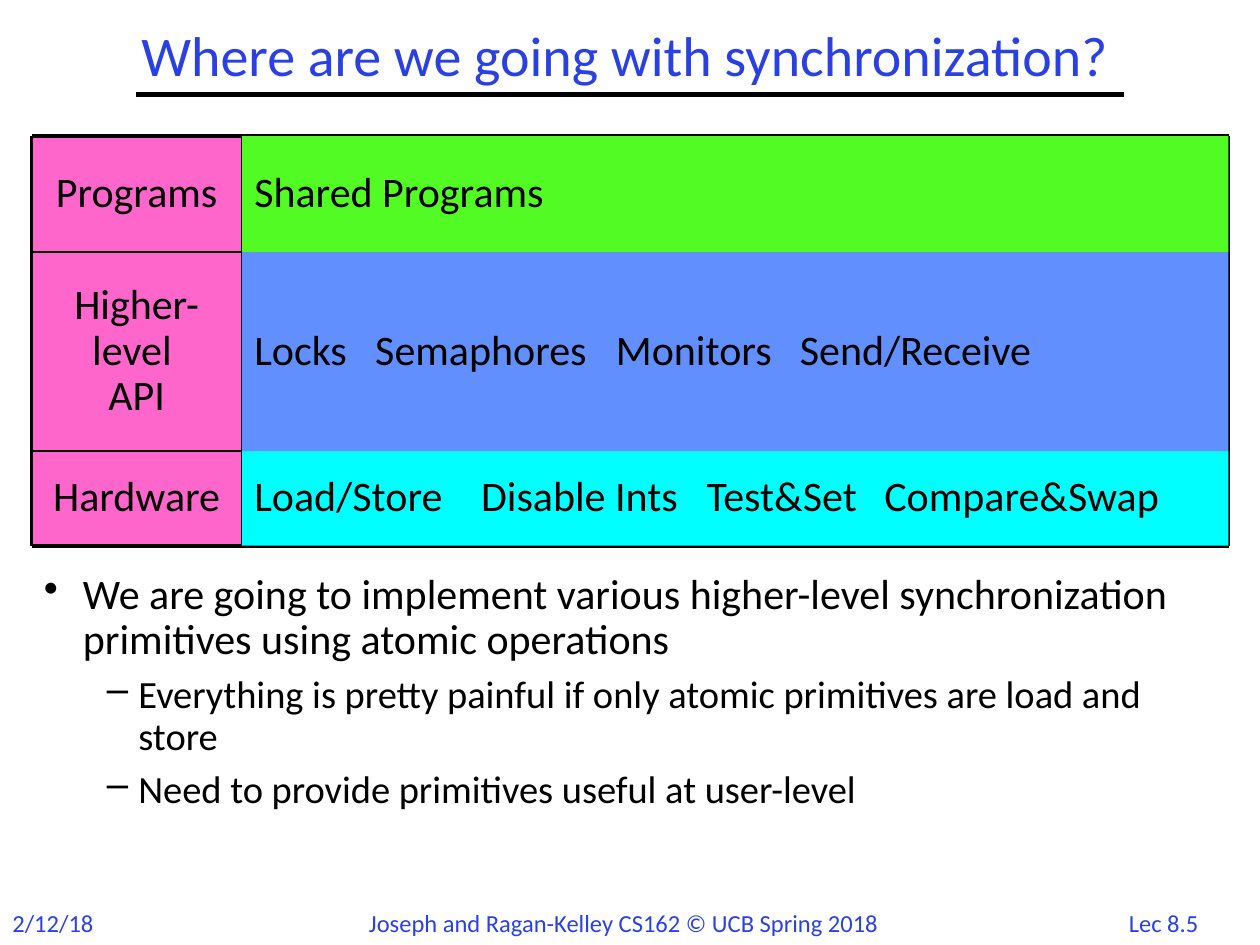
import pptx
import pptx.util
import pptx.dml.color
import pptx.enum.shapes
import pptx.enum.text
import pptx.oxml
import pptx.oxml.ns
from pptx.util import Inches

ALIGN = pptx.enum.text.PP_ALIGN
ANCHOR = pptx.enum.text.MSO_ANCHOR

THEME = {
    "font": "Calibri",
    "blue": "2A40E2",
    "black": "000000",
    "pink": "FF66CC",
    "green": "53FB25",
    "periwinkle": "618FFD",
    "cyan": "00FFFF",
    "title": 32,
    "body": 24,
    "detail": 22,
    "footer": 14,
}

TITLE = "Where are we going with synchronization?"
FOOTERS = [
    ("Lec 8.5", 8.77, 0.93, ALIGN.CENTER),
    ("2/12/18", 0, 1, ALIGN.LEFT),
    ("Joseph and Ragan-Kelley CS162 © UCB Spring 2018", 2.83, 4.35, ALIGN.LEFT),
]
LAYERS = [
    ("Programs", ["Shared Programs"], [], "green", 0.92),
    ("Higher-level \nAPI", ["Locks", "Semaphores", "Monitors", "Send/Receive"],
     [0.96, 2.87, 4.33], "periwinkle", 1.58),
    ("Hardware", ["Load/Store", "Disable Ints", "Test&Set", "Compare&Swap"],
     [1.8, 3.59, 5], "cyan", 0.75),
]
BULLETS = [
    (0, "We are going to implement various higher-level synchronization "
        "primitives using atomic operations"),
    (1, "Everything is pretty painful if only atomic primitives are load and store"),
    (1, "Need to provide primitives useful at user-level"),
]
BULLET_LEVELS = [("•", 0.31, -0.31, "body"), ("–", 0.75, -0.25, "detail")]
COLUMNS = [0.25, 1.92, 9.75]
LAYERS_TOP = 1.08


def color(name):
    return pptx.dml.color.RGBColor.from_string(THEME[name])


def write(paragraph, text, size, ink="black", align=ALIGN.LEFT, spacing=0.9):
    paragraph.alignment = align
    paragraph.line_spacing = spacing
    for index, line in enumerate(text.split("\n")):
        if index:
            paragraph.add_line_break()
        run = paragraph.add_run()
        run.text = line
        run.font.name = THEME["font"]
        run.font.size = pptx.util.Pt(THEME[size])
        run.font.color.rgb = color(ink)


def add_xml(parent, tag, **attributes):
    element = pptx.oxml.parse_xml(f"<a:{tag} {pptx.oxml.ns.nsdecls('a')}/>")
    for name, value in attributes.items():
        element.set(name, str(value))
    parent.append(element)
    return element


def add_text(shapes, left, top, width, height, anchor=ANCHOR.TOP):
    frame = shapes.add_textbox(*map(Inches, (left, top, width, height))).text_frame
    frame.word_wrap = True
    frame.vertical_anchor = anchor
    return frame


def add_line(shapes, start, end, width):
    line = shapes.add_connector(
        pptx.enum.shapes.MSO_CONNECTOR.STRAIGHT, *map(Inches, (*start, *end)))
    line.line.color.rgb = color("black")
    line.line.width = pptx.util.Pt(width)
    add_xml(line._element.spPr, "effectLst")


def add_cell(shapes, column, top, height, fill, text, align, stops=()):
    left, right = COLUMNS[column:column + 2]
    cell = shapes.add_shape(
        pptx.enum.shapes.MSO_SHAPE.RECTANGLE,
        *map(Inches, (left, top, right - left, height)))
    cell.shadow.inherit = False
    cell.fill.solid()
    cell.fill.fore_color.rgb = color(fill)
    cell.line.fill.background()
    cell.text_frame.word_wrap = True
    cell.text_frame.vertical_anchor = ANCHOR.MIDDLE
    paragraph = cell.text_frame.paragraphs[0]
    write(paragraph, text, "body", align=align)
    if stops:
        tabs = add_xml(paragraph._p.get_or_add_pPr(), "tabLst")
        for stop in stops:
            add_xml(tabs, "tab", pos=int(Inches(stop)), algn="l")


def add_layers(slide):
    edges = [LAYERS_TOP]
    for layer in LAYERS:
        edges.append(edges[-1] + layer[-1])
    rows = list(zip(LAYERS, edges))[::-1]
    grid = slide.shapes.add_group_shape().shapes
    for (label, items, stops, fill, height), top in rows:
        add_cell(grid, 0, top, height, "pink", label, ALIGN.CENTER)
    for edge in edges:
        outer = edge in (edges[0], edges[-1])
        add_line(grid, (COLUMNS[0], edge), (COLUMNS[-1], edge), 2.25 if outer else 1)
    for edge in COLUMNS:
        outer = edge in (COLUMNS[0], COLUMNS[-1])
        add_line(grid, (edge, edges[0]), (edge, edges[-1]), 2.25 if outer else 1)
    for (label, items, stops, fill, height), top in rows:
        add_cell(slide.shapes, 1, top, height, fill, "\t".join(items), ALIGN.LEFT, stops)


def add_bullets(slide):
    frame = add_text(slide.shapes, 0.25, 4.5, 9.42, 2.33)
    for index, (level, text) in enumerate(BULLETS):
        paragraph = frame.add_paragraph() if index else frame.paragraphs[0]
        mark, margin, indent, size = BULLET_LEVELS[level]
        write(paragraph, text, size)
        paragraph.level = level
        if index:
            paragraph.space_before = pptx.util.Pt(0.3 * THEME[size])
        properties = paragraph._p.get_or_add_pPr()
        properties.set("marL", str(int(Inches(margin))))
        properties.set("indent", str(int(Inches(indent))))
        add_xml(properties, "buChar", char=mark)


def main():
    presentation = pptx.Presentation()
    presentation.slide_width = Inches(10)
    presentation.slide_height = Inches(7.5)
    slide = presentation.slides.add_slide(presentation.slide_layouts[6])

    for text, left, width, align in FOOTERS:
        frame = add_text(slide.shapes, left, 7.16, width, 0.34)
        write(frame.paragraphs[0], text, "footer", "blue", align, 1.0)
    add_line(slide.shapes, (1.08, 0.75), (8.92, 0.75), 3)
    add_layers(slide)
    title = add_text(slide.shapes, 0.5, 0.17, 8.92, 0.58, anchor=ANCHOR.MIDDLE)
    write(title.paragraphs[0], TITLE, "title", "blue", ALIGN.CENTER)
    add_bullets(slide)
    presentation.save("out.pptx")


if __name__ == "__main__":
    main()
